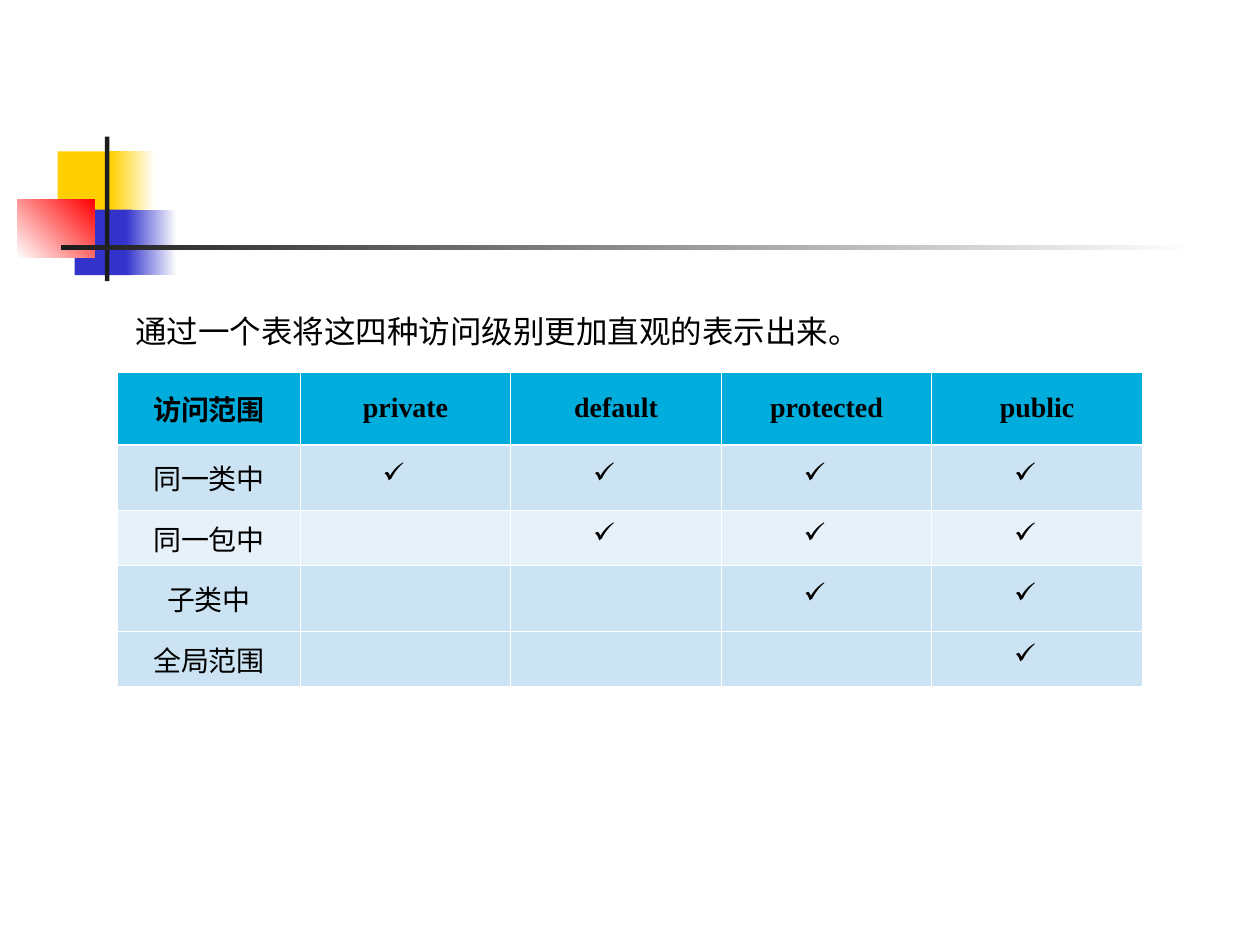
from dataclasses import dataclass

from lxml.etree import SubElement
from pptx import Presentation
from pptx.dml.color import RGBColor
from pptx.enum.shapes import MSO_SHAPE
from pptx.enum.text import MSO_ANCHOR, MSO_AUTO_SIZE, PP_ALIGN
from pptx.oxml import parse_xml
from pptx.oxml.ns import nsdecls, qn
from pptx.util import Pt


@dataclass(frozen=True)
class Theme:
    """Colours, fonts and sizes of the slide."""

    yellow: str = "FFCF01"
    blue: str = "3333CC"
    red: str = "FF0000"
    dark: str = "1C1C1C"
    white: str = "FFFFFF"
    text: str = "000000"
    header: str = "00ADDC"
    band: str = "CBE3F2"
    light_band: str = "E7F1F9"
    intro_font: str = "Arial"
    table_font: str = "Times New Roman"
    tick_font: str = "Wingdings"
    intro_size: float = 18
    table_size: float = 16
    thin: float = 0.45
    thick: float = 1.47


THEME = Theme()
LEVELS = ["private", "default", "protected", "public"]
SCOPES = ["同一类中", "同一包中", "子类中", "全局范围"]
ROW_HEIGHTS = [41.6, 37.4, 31.7, 37.4, 31.7]
SCOPE_WIDTH, LEVEL_WIDTH = 104.4, 120.3
TICK_INDENT = 22.5


def rgb(value):
    """Turn a hex string into a colour."""
    return RGBColor.from_string(value)


def add_block(slide, box, start, end=None, angle=0):
    """Add a plain rectangle, filled solid or with a gradient from start to end."""
    block = slide.shapes.add_shape(MSO_SHAPE.RECTANGLE, *map(Pt, box))
    block.shadow.inherit = False
    block.line.fill.background()
    if end is None:
        block.fill.solid()
        block.fill.fore_color.rgb = rgb(start)
        return
    block.fill.gradient()
    block.fill.gradient_angle = angle
    for stop, colour in zip(block.fill.gradient_stops, (start, end)):
        stop.color.rgb = rgb(colour)


def add_ornament(slide):
    """Add the coloured blocks and the crossing bars."""
    add_block(slide, (33, 86.5, 34.5, 37.4), THEME.yellow)
    add_block(slide, (63, 86.5, 25.5, 37.4), THEME.yellow, THEME.white)
    add_block(slide, (42.6, 119.8, 33, 37.4), THEME.blue)
    add_block(slide, (72, 119.8, 29, 37.4), THEME.blue, THEME.white)
    add_block(slide, (9.9, 114, 44.2, 33.2), THEME.white, THEME.red, 45)
    add_block(slide, (60, 78, 2.5, 82.7), THEME.dark)
    add_block(slide, (34.8, 140.1, 648, 2.7), THEME.dark, THEME.white)


def set_font(paragraph, name, size, bold=False):
    """Set the font of a whole paragraph."""
    paragraph.font.name = name
    paragraph.font.size = Pt(size)
    paragraph.font.bold = bold
    paragraph.font.color.rgb = rgb(THEME.text)


def add_intro(slide, text):
    """Add the sentence above the table."""
    intro = slide.shapes.add_textbox(Pt(70.3), Pt(164.2), Pt(642.2), Pt(39.6))
    frame = intro.text_frame
    frame.word_wrap = True
    frame.auto_size = MSO_AUTO_SIZE.SHAPE_TO_FIT_TEXT
    frame.text = text
    frame.paragraphs[0].line_spacing = 1.5
    set_font(frame.paragraphs[0], THEME.intro_font, THEME.intro_size)


def set_tick(paragraph):
    """Show a tick bullet with a hanging indent."""
    properties = paragraph._p.get_or_add_pPr()
    properties.set("marL", str(Pt(TICK_INDENT)))
    properties.set("indent", str(-Pt(TICK_INDENT)))
    SubElement(properties, qn("a:buFont"), typeface=THEME.tick_font, charset="2")
    SubElement(properties, qn("a:buChar"), char="ü")


def set_borders(cell, top, bottom):
    """Give a cell white borders, with their own top and bottom widths."""
    properties = cell._tc.get_or_add_tcPr()
    widths = {"lnL": THEME.thin, "lnR": THEME.thin, "lnT": top, "lnB": bottom}
    for index, (side, width) in enumerate(widths.items()):
        border = parse_xml(f'<a:{side} {nsdecls("a")} w="{Pt(width)}"/>')
        fill = SubElement(border, qn("a:solidFill"))
        SubElement(fill, qn("a:srgbClr"), val=THEME.white)
        properties.insert(index, border)


def format_cell(cell, text, row, ticked):
    """Fill in one cell and style it for its row."""
    cell.text = " " if ticked else text
    cell.vertical_anchor = MSO_ANCHOR.MIDDLE
    cell.margin_left = cell.margin_right = Pt(5)
    cell.margin_top = cell.margin_bottom = Pt(3.6)
    paragraph = cell.text_frame.paragraphs[0]
    paragraph.alignment = PP_ALIGN.CENTER
    if ticked:
        set_tick(paragraph)
    set_font(paragraph, THEME.table_font, THEME.table_size, bold=row == 0)
    cell.fill.solid()
    fills = {0: THEME.header, 2: THEME.light_band}
    cell.fill.fore_color.rgb = rgb(fills.get(row, THEME.band))
    set_borders(
        cell,
        top=THEME.thick if row == 1 else THEME.thin,
        bottom=THEME.thick if row == 0 else THEME.thin,
    )


def add_access_table(slide):
    """Add the table of access levels, each scope ticking one level fewer."""
    rows = [["访问范围", *LEVELS]]
    rows += [[scope] + [""] * len(LEVELS) for scope in SCOPES]
    widths = [SCOPE_WIDTH] + [LEVEL_WIDTH] * len(LEVELS)
    table = slide.shapes.add_table(
        len(rows), len(widths), Pt(67.2), Pt(212.6), Pt(sum(widths)), Pt(sum(ROW_HEIGHTS))
    ).table
    for column, width in zip(table.columns, widths):
        column.width = Pt(width)
    for row, height in zip(table.rows, ROW_HEIGHTS):
        row.height = Pt(height)
    for r, texts in enumerate(rows):
        for c, text in enumerate(texts):
            format_cell(table.cell(r, c), text, r, ticked=0 < r <= c)


def main():
    """Build the slide and save it."""
    presentation = Presentation()
    presentation.slide_width, presentation.slide_height = Pt(720), Pt(540)
    slide = presentation.slides.add_slide(presentation.slide_layouts[6])
    add_ornament(slide)
    add_access_table(slide)
    add_intro(slide, "通过一个表将这四种访问级别更加直观的表示出来。")
    presentation.save("out.pptx")


if __name__ == "__main__":
    main()
